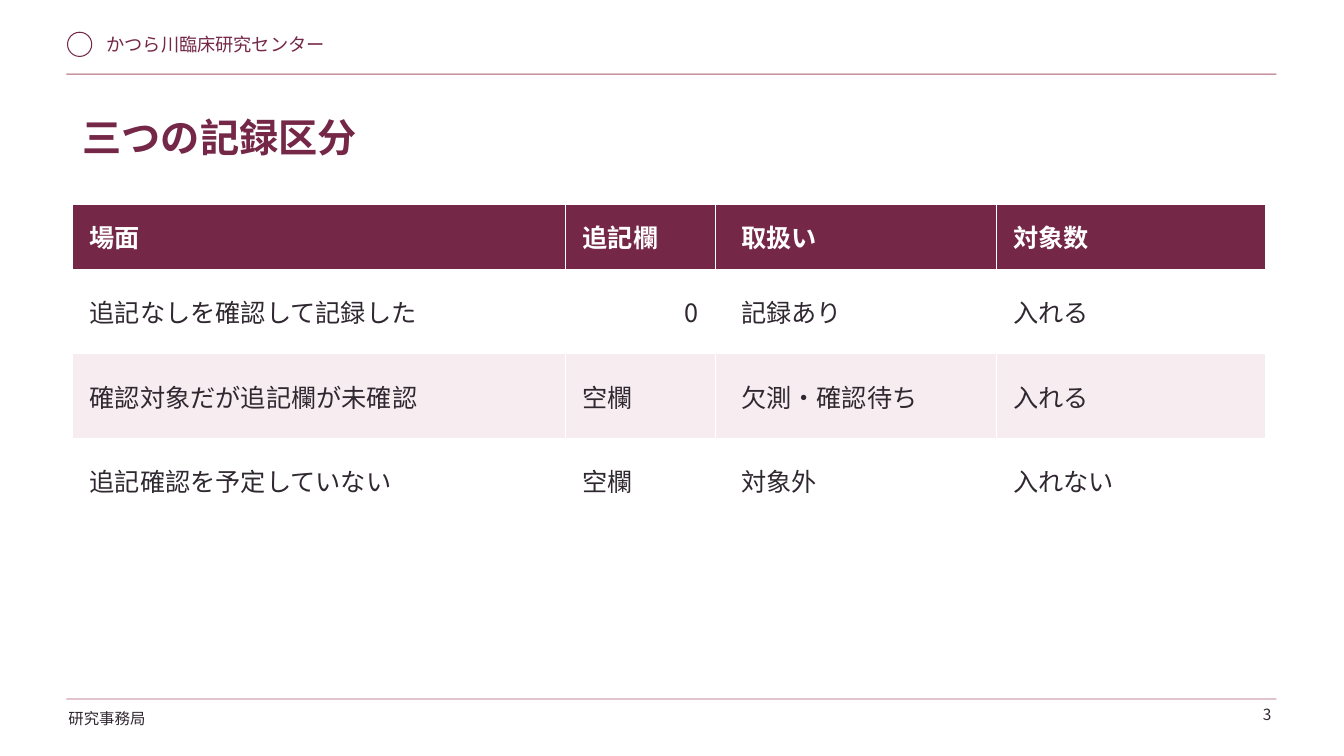
"""Build the slide on the three kinds of record."""
from typing import NamedTuple

from lxml.etree import SubElement
from pptx import Presentation
from pptx.dml.color import RGBColor
from pptx.enum.shapes import MSO_SHAPE
from pptx.enum.text import MSO_ANCHOR, MSO_AUTO_SIZE, PP_ALIGN
from pptx.oxml.ns import qn
from pptx.slide import Slide
from pptx.text.text import TextFrame
from pptx.util import Inches, Pt

FONT = "Noto Sans CJK JP"
COLORS = {"plum": "742747", "rose": "AB586C", "ink": "302830",
          "white": "FFFFFF", "blush": "F7EDF1"}


class Box(NamedTuple):
    """Place and size in inches."""
    left: float
    top: float
    width: float
    height: float

    def lengths(self) -> list[Inches]:
        """Give the four lengths."""
        return [Inches(side) for side in self]


class Column(NamedTuple):
    """Width, left inset and texts of a table column."""
    width: float
    inset: float
    texts: list[str]


class Label(NamedTuple):
    """Short text in the header or footer."""
    box: Box
    text: str
    size: float
    color: str
    align: PP_ALIGN = PP_ALIGN.LEFT


RULES = [Box(0.66, top, 12, 0.01) for top in (0.73, 6.93)]
LABELS = [
    Label(Box(0.96, 0.28, 3.3, 0.35), "かつら川臨床研究センター", 13, "plum"),
    Label(Box(0.58, 6.99, 1.8, 0.36), "研究事務局", 11, "ink"),
]
NUMBER = Label(Box(12.08, 6.99, 0.53, 0.32), "3", 11, "ink", PP_ALIGN.RIGHT)
COLUMNS = [
    Column(4.89, 0.17, ["場面", "追記なしを確認して記録した",
                        "確認対象だが追記欄が未確認", "追記確認を予定していない"]),
    Column(1.49, 0.17, ["追記欄", "0", "空欄", "空欄"]),
    Column(2.78, 0.25, ["取扱い", "記録あり", "欠測・確認待ち", "対象外"]),
    Column(2.67, 0.17, ["対象数", "入れる", "入れる", "入れない"]),
]
HEIGHTS = [0.64, 0.84, 0.84, 0.84]
FILLS = ["plum", "white", "blush", "white"]


def paint(name: str) -> RGBColor:
    """Look up a colour by name."""
    return RGBColor.from_string(COLORS[name])


def write(frame: TextFrame, text: str, *, size: float, color: str,
          bold: bool = False, align: PP_ALIGN = PP_ALIGN.LEFT) -> None:
    """Put formatted text in a frame."""
    para = frame.paragraphs[0]
    para.alignment = align
    run = para.add_run()
    run.text = text
    run.font.size = Pt(size)
    run.font.bold = bold
    run.font.color.rgb = paint(color)
    run.font.name = FONT
    SubElement(run.font._element, qn("a:ea"), typeface=FONT)


def add_label(slide: Slide, label: Label) -> TextFrame:
    """Add a header or footer text."""
    frame = slide.shapes.add_textbox(*label.box.lengths()).text_frame
    frame.word_wrap = False
    write(frame, label.text, size=label.size, color=label.color, align=label.align)
    return frame


def add_frame(slide: Slide) -> None:
    """Add the ring, rules, labels and page number."""
    ring = slide.shapes.add_shape(MSO_SHAPE.OVAL, *Box(0.67, 0.32, 0.24, 0.24).lengths())
    ring.shadow.inherit = False
    ring.fill.background()
    ring.line.color.rgb = paint("plum")
    ring.line.width = Pt(0.75)
    for box in RULES:
        rule = slide.shapes.add_shape(MSO_SHAPE.RECTANGLE, *box.lengths())
        rule.shadow.inherit = False
        rule.fill.solid()
        rule.fill.fore_color.rgb = paint("rose")
        rule.line.fill.background()
    for label in LABELS:
        add_label(slide, label)
    frame = add_label(slide, NUMBER)
    frame.margin_top = frame.margin_right = 0
    frame.auto_size = MSO_AUTO_SIZE.SHAPE_TO_FIT_TEXT


def add_title(slide: Slide) -> None:
    """Place and fill the title."""
    title = slide.shapes.title
    title.left, title.top, title.width, title.height = Box(0.72, 1.02, 11.9, 0.81).lengths()
    frame = title.text_frame
    frame.margin_left = frame.margin_right = Inches(0.1)
    frame.margin_top = frame.margin_bottom = Inches(0.1)
    frame.vertical_anchor = MSO_ANCHOR.TOP
    frame.auto_size = MSO_AUTO_SIZE.NONE
    frame.word_wrap = True
    write(frame, "三つの記録区分", size=28, color="plum", bold=True)


def add_grid(slide: Slide) -> None:
    """Add the table of records."""
    box = Box(0.72, 2.03, sum(col.width for col in COLUMNS), sum(HEIGHTS))
    table = slide.shapes.add_table(len(HEIGHTS), len(COLUMNS), *box.lengths()).table
    for row, height in zip(table.rows, HEIGHTS):
        row.height = Inches(height)
    for x, col in enumerate(COLUMNS):
        table.columns[x].width = Inches(col.width)
        for y, text in enumerate(col.texts):
            cell = table.cell(y, x)
            cell.fill.solid()
            cell.fill.fore_color.rgb = paint(FILLS[y])
            cell.vertical_anchor = MSO_ANCHOR.MIDDLE
            cell.margin_left, cell.margin_right = Inches(col.inset), Inches(0.17)
            cell.margin_top = cell.margin_bottom = Inches(0.05)
            write(cell.text_frame, text, size=18, bold=y == 0,
                  color="ink" if y else "white",
                  align=PP_ALIGN.RIGHT if text.isdigit() else PP_ALIGN.LEFT)


def main() -> None:
    """Build and save the deck."""
    deck = Presentation()
    deck.slide_width, deck.slide_height = Inches(13.33), Inches(7.5)
    slide = deck.slides.add_slide(deck.slide_layouts.get_by_name("Title Only"))
    add_frame(slide)
    add_title(slide)
    add_grid(slide)
    deck.save("out.pptx")


if __name__ == "__main__":
    main()
